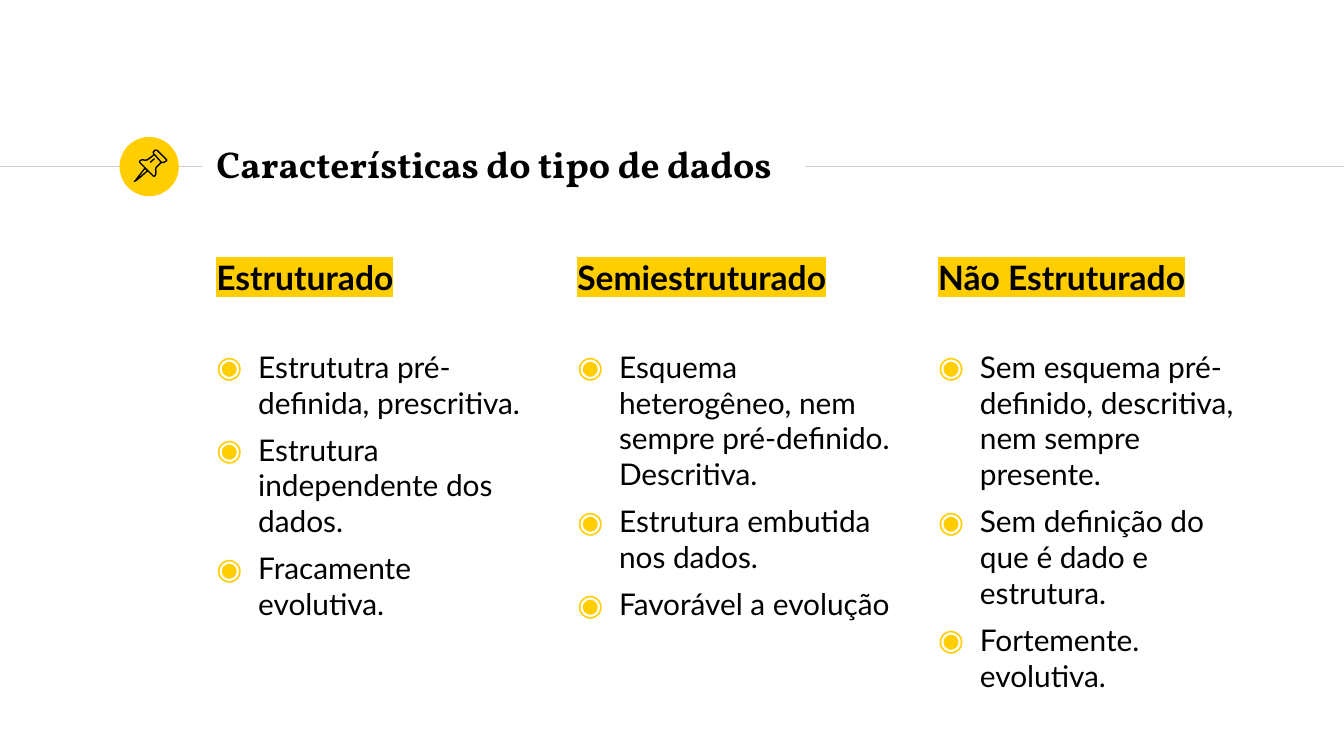
from lxml.etree import SubElement
from pptx import Presentation
from pptx.dml.color import RGBColor
from pptx.enum.shapes import MSO_CONNECTOR, MSO_SHAPE
from pptx.enum.text import MSO_ANCHOR, MSO_AUTO_SIZE, PP_ALIGN
from pptx.oxml import parse_xml
from pptx.oxml.ns import nsdecls, qn
from pptx.util import Cm, Pt

BLACK = RGBColor(0x00, 0x00, 0x00)
WHITE = RGBColor(0xFF, 0xFF, 0xFF)
YELLOW = RGBColor(0xFF, 0xCD, 0x00)
GRAY = RGBColor(0xCC, 0xCC, 0xCC)

TITLE = "Características do tipo de dados"
COLUMNS = [
    ("Estruturado", [
        "Estrututra pré-definida, prescritiva.",
        "Estrutura independente dos dados.",
        "Fracamente evolutiva.",
    ]),
    ("Semiestruturado", [
        "Esquema heterogêneo, nem sempre pré-definido. Descritiva.",
        "Estrutura embutida nos dados.",
        "Favorável a evolução",
    ]),
    ("Não Estruturado", [
        "Sem esquema pré-definido, descritiva, nem sempre presente.",
        "Sem definição do que é dado e estrutura.",
        "Fortemente. evolutiva.",
    ]),
]

LEFT, COLUMN_TOP, COLUMN_STEP = 3.84, 4.6, 6.82
COLUMN_WIDTH, COLUMN_HEIGHT = 6.48, 8.66
RULE_Y = 3.15
RULES = [(0, 3.81), (14.63, 25.4)]

PIN_UNIT = Cm(0.01)
PIN_PARTS = [
    ([(274, 318), (257, 340), (254, 343), (259, 340), (279, 323)], True),
    ([(292, 292), (305, 307), (310, 307), (313, 305), (315, 304), (315, 302),
      (297, 284), (293, 284), (290, 287), (290, 290)], True),
    ([(292, 292), (279, 302), (275, 303), (269, 302), (266, 303), (264, 305),
      (264, 307), (290, 333), (292, 333), (294, 331), (295, 325), (294, 321),
      (295, 317), (305, 307)], False),
    ([(284, 307), (292, 300)], False),
]


def place(shape, left, top, width, height):
    shape.left, shape.top = Cm(left), Cm(top)
    shape.width, shape.height = Cm(width), Cm(height)


def format_frame(frame, anchor):
    frame.word_wrap = True
    frame.auto_size = MSO_AUTO_SIZE.NONE
    frame.vertical_anchor = anchor
    frame.margin_left = frame.margin_right = Cm(0.25)
    frame.margin_top = frame.margin_bottom = Cm(0.25)


def add_run(paragraph, text, font_name, size, bold):
    paragraph.alignment = PP_ALIGN.LEFT
    run = paragraph.add_run()
    run.text = text
    run.font.name = font_name
    run.font.size = Pt(size)
    run.font.bold = bold
    run.font.color.rgb = BLACK
    return run


def add_highlight(run):
    fill = run.font.fill
    fill.solid()
    fill.fore_color.rgb = BLACK
    properties = run.font._element if hasattr(run.font, "_element") else run._r.rPr
    properties.find(qn("a:solidFill")).addnext(parse_xml(
        f'<a:highlight {nsdecls("a")}><a:srgbClr val="{YELLOW}"/></a:highlight>'))


def set_bullet(paragraph, character=None):
    properties = paragraph._p.get_or_add_pPr()
    indent = Cm(0.79) if character else 0
    properties.set("marL", str(indent))
    properties.set("indent", str(-indent))
    if character:
        color = SubElement(properties, qn("a:buClr"))
        SubElement(color, qn("a:srgbClr"), val=str(YELLOW))
        SubElement(properties, qn("a:buFont"), typeface="Lato")
        SubElement(properties, qn("a:buChar"), char=character)
    else:
        SubElement(properties, qn("a:buNone"))


def fill_column(frame, heading, items):
    format_frame(frame, MSO_ANCHOR.TOP)
    paragraph = frame.paragraphs[0]
    paragraph.space_before, paragraph.space_after = Pt(6), Pt(21.6)
    add_highlight(add_run(paragraph, heading, "Lato", 18, True))
    set_bullet(paragraph)
    for item in items:
        paragraph = frame.add_paragraph()
        paragraph.space_before = Pt(6)
        add_run(paragraph, item, "Lato", 16, False)
        set_bullet(paragraph, "◉")


def add_rule(shapes, start, end):
    rule = shapes.add_connector(
        MSO_CONNECTOR.STRAIGHT, Cm(start), Cm(RULE_Y), Cm(end), Cm(RULE_Y))
    rule.line.color.rgb = GRAY
    rule.line.width = Pt(0.75)
    SubElement(rule._element.spPr, qn("a:effectLst"))


def add_pin(shapes):
    group = shapes.add_group_shape()
    for points, closed in PIN_PARTS:
        builder = group.shapes.build_freeform(*points[0], scale=PIN_UNIT)
        builder.add_line_segments(points[1:], close=closed)
        part = builder.convert_to_shape()
        part.shadow.inherit = False
        part.fill.background()
        part.line.color.rgb = BLACK
        part.line.width = Pt(0.75)


presentation = Presentation()
presentation.slide_width, presentation.slide_height = Cm(25.4), Cm(14.29)
slide = presentation.slides.add_slide(
    presentation.slide_layouts.get_by_name("Comparison"))
shapes = slide.shapes
title, *bodies = list(slide.placeholders)
tree = title.element.getparent()

for body in bodies[len(COLUMNS):]:
    tree.remove(body.element)
bodies = bodies[:len(COLUMNS)]

for start, end in RULES:
    add_rule(shapes, start, end)
circle = shapes.add_shape(MSO_SHAPE.OVAL, Cm(2.26), Cm(2.59), Cm(1.12), Cm(1.12))
circle.shadow.inherit = False
circle.fill.solid()
circle.fill.fore_color.rgb = YELLOW
circle.line.fill.background()

for placeholder in [title, *bodies]:
    tree.append(placeholder.element)

place(title, LEFT, 2.49, 11.38, 1.22)
title.fill.solid()
title.fill.fore_color.rgb = WHITE
format_frame(title.text_frame, MSO_ANCHOR.MIDDLE)
add_run(title.text_frame.paragraphs[0], TITLE, "Vollkorn", 20, True)

for index, (body, (heading, items)) in enumerate(zip(bodies, COLUMNS)):
    place(body, LEFT + index * COLUMN_STEP, COLUMN_TOP, COLUMN_WIDTH, COLUMN_HEIGHT)
    fill_column(body.text_frame, heading, items)

add_pin(shapes)
presentation.save("out.pptx")
